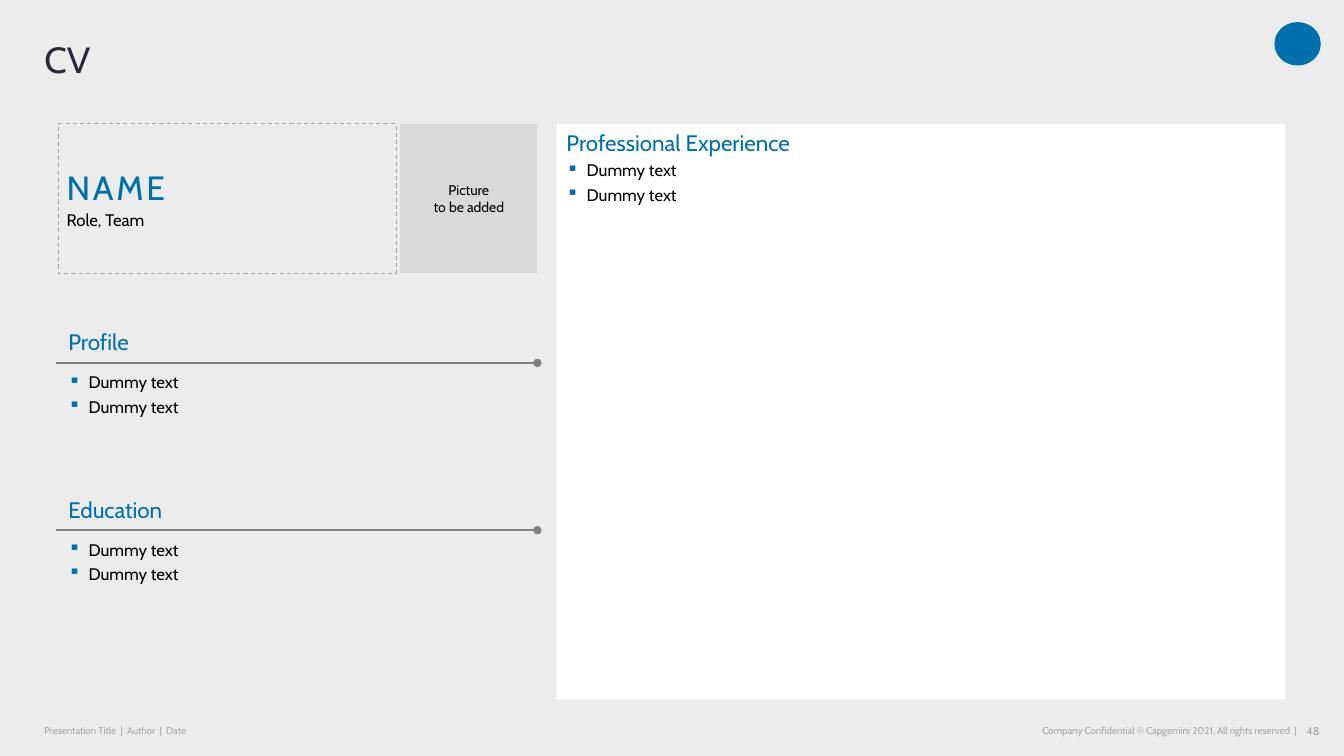
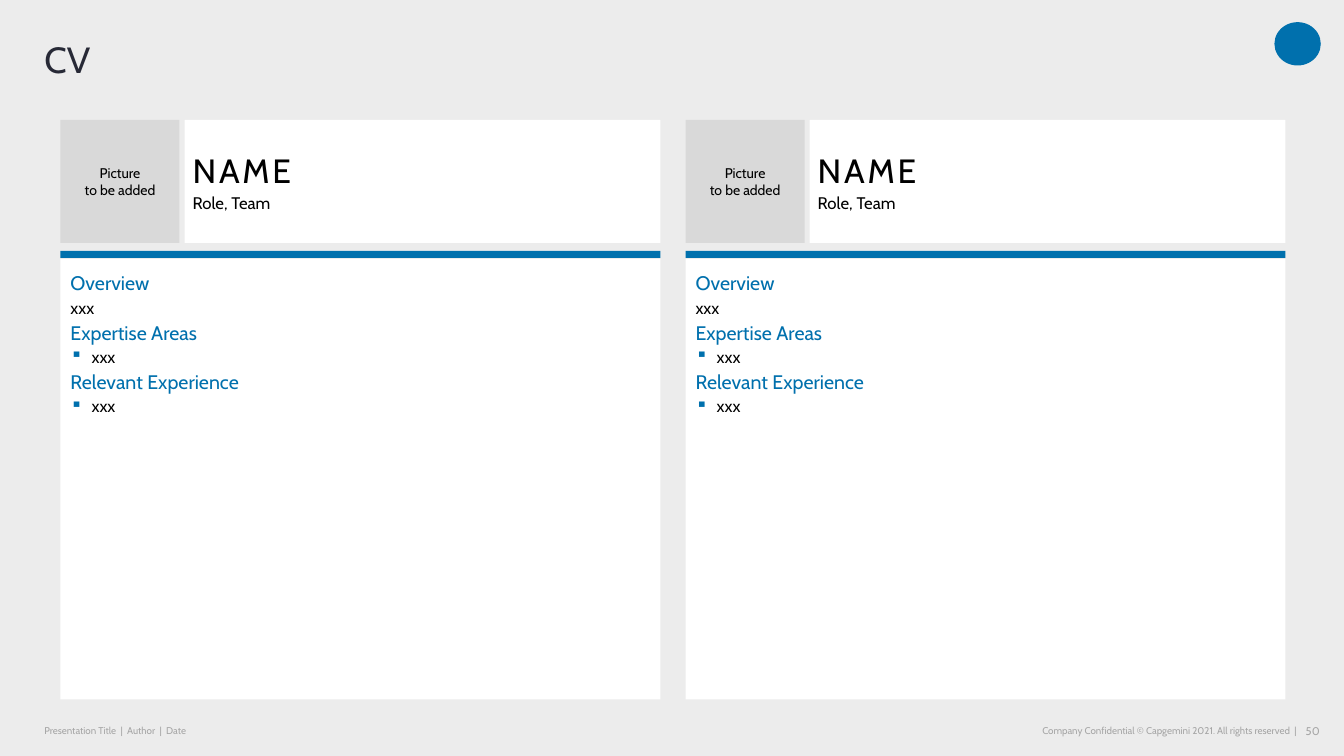
"""Build two CV slides: a single profile and a pair of profiles side by side."""
import pptx
import pptx.dml.color
import pptx.enum.dml
import pptx.enum.shapes
import pptx.enum.text
import pptx.oxml.ns
import pptx.util
from lxml import etree

Inches, Pt = pptx.util.Inches, pptx.util.Pt
ALIGN = pptx.enum.text.PP_ALIGN
ANCHOR = pptx.enum.text.MSO_ANCHOR
qn = pptx.oxml.ns.qn

THEME = {
    "font": "Cabin",
    "page": "ECECEC", "panel": "FFFFFF", "photo": "D9D9D9", "title": "272936",
    "accent": "0070AD", "text": "000000", "muted": "A6A6A6", "rule": "808080",
    "title_size": 26, "name_size": 24, "heading_size": 16, "card_size": 14,
    "body_size": 12, "photo_size": 10, "number_size": 8, "footer_size": 7,
}
STYLES = {
    "title": dict(size="title_size", color="title", line_spacing=0.9),
    "name": dict(size="name_size", color="accent", after=2, tracking=2),
    "card name": dict(size="name_size", after=2, tracking=2),
    "role": dict(after=2),
    "section": dict(size="heading_size", color="accent", after=12),
    "heading": dict(size="heading_size", color="accent", after=3),
    "item": dict(after=3, indent=0.2),
    "card heading": dict(size="card_size", color="accent", after=2),
    "card body": dict(after=2),
    "card item": dict(after=2, indent=0.21),
    "photo": dict(size="photo_size", align=ALIGN.CENTER),
    "footer": dict(size="footer_size", color="muted"),
    "footer right": dict(size="footer_size", color="muted", align=ALIGN.RIGHT),
    "number": dict(size="number_size", color="muted", align=ALIGN.RIGHT),
}

TITLE = "CV"
FOOTER = "Presentation Title  |  Author  |  Date"
COPYRIGHT = "Company Confidential © Capgemini 2021. All rights reserved  |"
PHOTO = [("photo", "Picture"), ("photo", "to be added")]
PERSON = ("NAME", "Role, Team")
DUMMY_ITEMS = [("item", "Dummy text")] * 2
SECTIONS = ["Profile", "Education"]
EXPERIENCE = [("heading", "Professional Experience")] + DUMMY_ITEMS
CARD = [
    ("card heading", "Overview"), ("card body", "xxx"),
    ("card heading", "Expertise Areas"), ("card item", "xxx"),
    ("card heading", "Relevant Experience"), ("card item", "xxx"),
]

WIDTH, HEIGHT = 13.33, 7.5
MARGIN, RIGHT, BOTTOM = 0.44, 12.75, 6.94
FOOTER_TOP, FOOTER_HEIGHT = 7.13, 0.24
INSETS = (0.1, 0.05, 0.1, 0.05)
NAME_INSETS = (0.08, 0.04, 0, 0.04)
NO_INSETS = (0, 0, 0, 0)


def rgb(key):
    return pptx.dml.color.RGBColor.from_string(THEME[key])


def add_bullet(p, indent):
    pPr = p._p.get_or_add_pPr()
    pPr.set("marL", str(Inches(indent)))
    pPr.set("indent", str(-Inches(indent)))
    color = etree.SubElement(pPr, qn("a:buClr"))
    etree.SubElement(color, qn("a:srgbClr"), val=THEME["accent"])
    etree.SubElement(pPr, qn("a:buChar"), char="▪")


def write(p, text, size="body_size", color="text", after=0, align=ALIGN.LEFT,
          line_spacing=1.0, tracking=0, indent=0):
    if indent:
        add_bullet(p, indent)
    p.alignment, p.line_spacing = align, line_spacing
    p.space_before, p.space_after = Pt(0), Pt(after)
    r = p.add_run()
    r.text = text
    r.font.name, r.font.size = THEME["font"], Pt(THEME[size])
    r.font.color.rgb = rgb(color)
    if tracking:
        r.font._element.set("spc", str(tracking * 100))


def fill_text(sp, paragraphs, anchor=ANCHOR.TOP, insets=INSETS):
    tf = sp.text_frame
    tf.word_wrap, tf.auto_size = True, pptx.enum.text.MSO_AUTO_SIZE.NONE
    tf.vertical_anchor = anchor
    tf.margin_left, tf.margin_top, tf.margin_right, tf.margin_bottom = map(Inches, insets)
    for i, (style, text) in enumerate(paragraphs):
        p = tf.add_paragraph() if i else tf.paragraphs[0]
        write(p, text, **STYLES[style])


def add_text(s, box, paragraphs, **fmt):
    fill_text(s.shapes.add_textbox(*map(Inches, box)), paragraphs, **fmt)


def add_panel(s, box, fill=None, paragraphs=(), shape="RECTANGLE", **fmt):
    kind = getattr(pptx.enum.shapes.MSO_SHAPE, shape)
    sp = s.shapes.add_shape(kind, *map(Inches, box))
    sp.shadow.inherit = False
    if fill:
        sp.fill.solid()
        sp.fill.fore_color.rgb = rgb(fill)
        sp.line.fill.background()
    else:
        sp.fill.background()
        sp.line.color.rgb, sp.line.width = rgb("muted"), Pt(0.75)
        sp.line.dash_style = pptx.enum.dml.MSO_LINE.DASH
    if paragraphs:
        fill_text(sp, paragraphs, **fmt)


def add_photo(s, box):
    add_panel(s, box, "photo", PHOTO, anchor=ANCHOR.MIDDLE)


def add_name(s, box, style, fill=None):
    add_panel(s, box, fill, zip((style, "role"), PERSON),
              anchor=ANCHOR.MIDDLE, insets=NAME_INSETS)


def add_rule(s, left, right, y):
    line = s.shapes.add_connector(pptx.enum.shapes.MSO_CONNECTOR.STRAIGHT,
                                  *map(Inches, (left, y, right, y)))
    line.line.color.rgb, line.line.width = rgb("rule"), Pt(1.5)
    etree.SubElement(line.line._get_or_add_ln(), qn("a:tailEnd"), type="oval")
    etree.SubElement(line._element.spPr, qn("a:effectLst"))


def add_slide(prs, number):
    s = prs.slides.add_slide(prs.slide_layouts[5])
    title = s.shapes.title
    title.left, title.top, title.width, title.height = map(Inches, (MARGIN, 0.42, 11.97, 0.78))
    fill_text(title, [("title", TITLE)], insets=NO_INSETS)
    add_panel(s, (12.64, 0.22, 0.46, 0.43), "accent", shape="OVAL")
    for left, width, style, text in (
        (MARGIN, 3.73, "footer", FOOTER),
        (7.9, 4.96, "footer right", COPYRIGHT),
        (12.84, 0.25, "number", str(number)),
    ):
        add_text(s, (left, FOOTER_TOP, width, FOOTER_HEIGHT), [(style, text)],
                 anchor=ANCHOR.MIDDLE, insets=NO_INSETS)
    return s


def build_single(prs):
    s = add_slide(prs, 48)
    left, top, row, column_right = 0.58, 1.23, 1.48, 5.33
    add_name(s, (left, top, 3.35, row), "name")
    add_photo(s, (3.97, top, column_right - 3.97, row))
    section_top, section_height = 3.21, 1.66
    for i, heading in enumerate(SECTIONS):
        y = section_top + i * section_height
        add_text(s, (left, y, 4.87, section_height), [("section", heading)] + DUMMY_ITEMS)
        add_rule(s, 0.56, column_right, y + 0.39)
    add_panel(s, (5.52, top, RIGHT - 5.52, BOTTOM - top), "panel", EXPERIENCE)


def build_pair(prs):
    s = add_slide(prs, 50)
    left, top, row, gap, count = 0.6, 1.19, 1.22, 0.25, 2
    width = (RIGHT - left - gap * (count - 1)) / count
    photo, photo_gap, bar_top, body_top = 1.18, 0.05, 2.49, 2.57
    for i in range(count):
        x = left + i * (width + gap)
        name_x = x + photo + photo_gap
        add_photo(s, (x, top, photo, row))
        add_name(s, (name_x, top, x + width - name_x, row), "card name", "panel")
        add_panel(s, (x, body_top, width, BOTTOM - body_top), "panel", CARD,
                  insets=(0.1, 0.12, 0.1, 0.05))
        add_panel(s, (x, bar_top, width, 0.07), "accent")


def main():
    prs = pptx.Presentation()
    prs.slide_width, prs.slide_height = Inches(WIDTH), Inches(HEIGHT)
    background = prs.slide_master.background.fill
    background.solid()
    background.fore_color.rgb = rgb("page")
    build_single(prs)
    build_pair(prs)
    prs.save("out.pptx")


if __name__ == "__main__":
    main()
